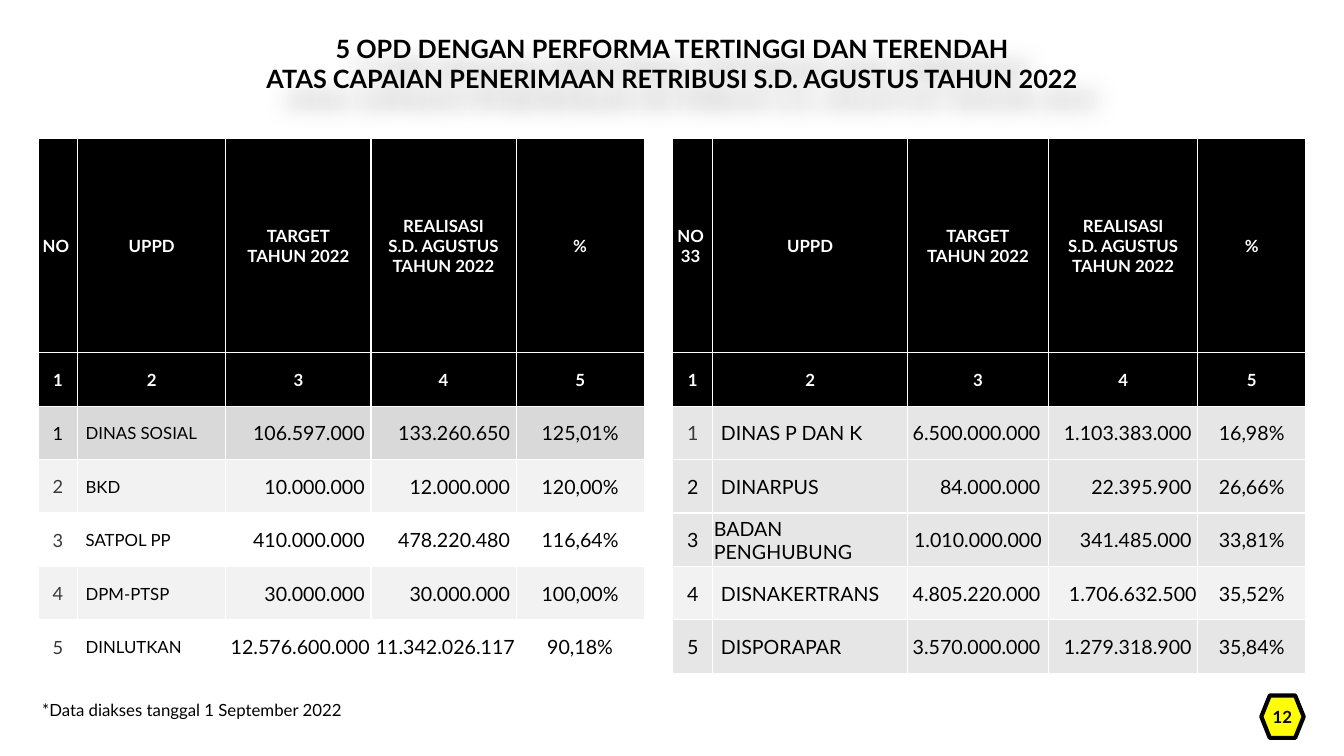
import pptx
import pptx.util
import pptx.oxml
import pptx.oxml.ns
import pptx.dml.color
import pptx.enum.text
import pptx.enum.shapes

Inches = pptx.util.Inches
ALIGN = pptx.enum.text.PP_ALIGN
MIDDLE = pptx.enum.text.MSO_ANCHOR.MIDDLE
NS = pptx.oxml.ns.nsdecls("a")

COLORS = {
    "black": "000000", "white": "FFFFFF", "yellow": "FFFF00", "ink": "3B3838",
    "leader": "D9D9D9", "light": "F2F2F2", "gray": "E7E6E6",
}
ROW_HEIGHTS = [2.13] + [0.53] * 6
HEADINGS = ["UPPD", "TARGET\nTAHUN 2022", "REALISASI\nS.D. AGUSTUS\nTAHUN 2022", "%"]
HEADER_MARGINS = (0.08, 0.01, 0.08, 0)
BODY_MARGINS = (0.01, 0.01, 0.01, 0)
NAME_MARGINS = (0.08, 0.01, 0.01, 0)

HIGHEST = {
    "box": (0.38, 1.37, 6, 5.32),
    "columns": [0.39, 1.47, 1.44, 1.44, 1.27],
    "number_heading": "NO",
    "sizes": [13, 12, 14, 14, 14],
    "fills": ["leader", "light", "white", "light", "white"],
    "number_colors": ["black", "ink", "ink", "ink", "ink"],
    "right_margins": {2: 0.06, 3: 0.06},
    "exceptions": {
        (4, 2): (ALIGN.RIGHT, BODY_MARGINS),
        (4, 3): (ALIGN.RIGHT, BODY_MARGINS),
    },
    "agencies": [
        ("DINAS SOSIAL", "106.597.000", "133.260.650", "125,01%"),
        ("BKD", "10.000.000", "12.000.000", "120,00%"),
        ("SATPOL PP", "410.000.000", "478.220.480", "116,64%"),
        ("DPM-PTSP", "30.000.000", "30.000.000", "100,00%"),
        ("DINLUTKAN", "12.576.600.000", "11.342.026.117", "90,18%"),
    ],
}
LOWEST = {
    "box": (6.67, 1.37, 6.28, 5.32),
    "columns": [0.4, 1.93, 1.4, 1.48, 1.07],
    "number_heading": "NO\v33",
    "sizes": [14] * 5,
    "fills": ["gray", "gray", "gray", "light", "gray"],
    "number_colors": ["ink", "black", "black", "black", "black"],
    "right_margins": {2: 0.08, 3: 0.06},
    "exceptions": {
        (2, 1): (ALIGN.LEFT, BODY_MARGINS),
        (2, 2): (ALIGN.CENTER, BODY_MARGINS),
        (3, 3): (ALIGN.RIGHT, BODY_MARGINS),
    },
    "agencies": [
        ("DINAS P DAN K", "6.500.000.000", "1.103.383.000", "16,98%"),
        ("DINARPUS", "84.000.000", "22.395.900", "26,66%"),
        ("BADAN PENGHUBUNG", "1.010.000.000", "341.485.000", "33,81%"),
        ("DISNAKERTRANS", "4.805.220.000", "1.706.632.500", "35,52%"),
        ("DISPORAPAR", "3.570.000.000", "1.279.318.900", "35,84%"),
    ],
}


def rgb(name):
    """Return the named palette colour."""
    return pptx.dml.color.RGBColor.from_string(COLORS[name])


def write(frame, text, size, color="black", bold=False, align=ALIGN.LEFT):
    """Fill a text frame and format all its paragraphs."""
    frame.text = text
    font_format = {"name": "Lato", "size": pptx.util.Pt(size), "bold": bold}
    for paragraph in frame.paragraphs:
        paragraph.alignment = align
        for run in paragraph.runs:
            for attribute, value in font_format.items():
                setattr(run.font, attribute, value)
            run.font.color.rgb = rgb(color)


def set_margins(target, margins):
    """Set the left, top, right and bottom margins in inches."""
    for side, margin in zip(("left", "top", "right", "bottom"), margins):
        setattr(target, f"margin_{side}", Inches(margin))


def format_cell(cell, fill, margins):
    """Give a cell white borders, a fill, margins and a middle anchor."""
    properties = cell._tc.get_or_add_tcPr()
    for side in "LRTB":
        properties.append(pptx.oxml.parse_xml(
            f'<a:ln{side} {NS} w="12700"><a:solidFill>'
            f'<a:srgbClr val="{COLORS["white"]}"/></a:solidFill></a:ln{side}>'))
    cell.fill.solid()
    cell.fill.fore_color.rgb = rgb(fill)
    cell.vertical_anchor = MIDDLE
    set_margins(cell, margins)


def body_layout(ranking, row, column):
    """Return the alignment and margins of a data cell."""
    if (row, column) in ranking["exceptions"]:
        return ranking["exceptions"][row, column]
    if column == 1:
        return ALIGN.LEFT, NAME_MARGINS
    if column in ranking["right_margins"]:
        return ALIGN.RIGHT, (0.01, 0.01, ranking["right_margins"][column], 0)
    return ALIGN.CENTER, BODY_MARGINS


def add_ranking(slide, ranking):
    """Draw one table of five agencies in its box."""
    box = [Inches(length) for length in ranking["box"]]
    table = slide.shapes.add_table(len(ROW_HEIGHTS), len(ranking["columns"]), *box).table
    table.first_row = table.horz_banding = False
    for column, width in zip(table.columns, ranking["columns"]):
        column.width = Inches(width)
    for row, height in zip(table.rows, ROW_HEIGHTS):
        row.height = Inches(height)

    header = [[ranking["number_heading"], *HEADINGS], [str(n) for n in range(1, 6)]]
    for row, labels in enumerate(header):
        for column, label in enumerate(labels):
            cell = table.cell(row, column)
            margins = (0.04, 0.01, 0.08, 0) if row == column == 0 else HEADER_MARGINS
            format_cell(cell, "black", margins)
            write(cell.text_frame, label, 12, "white", True, ALIGN.CENTER)

    for row, agency in enumerate(ranking["agencies"]):
        for column, value in enumerate((str(row + 1), *agency)):
            cell = table.cell(row + len(header), column)
            align, margins = body_layout(ranking, row, column)
            format_cell(cell, ranking["fills"][row], margins)
            color = "black" if column else ranking["number_colors"][row]
            write(cell.text_frame, value, ranking["sizes"][column], color, align=align)


def add_title(slide, box):
    """Place the title and its soft shadow."""
    title = slide.shapes.title
    for attribute, length in zip(("left", "top", "width", "height"), box):
        setattr(title, attribute, Inches(length))
    title.text_frame.vertical_anchor = MIDDLE
    write(title.text_frame,
          "5 OPD DENGAN PERFORMA TERTINGGI DAN TERENDAH\n"
          "ATAS CAPAIAN PENERIMAAN RETRIBUSI S.D. AGUSTUS TAHUN 2022",
          18, bold=True, align=ALIGN.CENTER)
    title._element.spPr.append(pptx.oxml.parse_xml(
        f'<a:effectLst {NS}><a:outerShdw blurRad="190500" dist="254000" dir="2700000" '
        f'algn="tl" rotWithShape="0"><a:srgbClr val="{COLORS["black"]}">'
        '<a:alpha val="30000"/></a:srgbClr></a:outerShdw></a:effectLst>'))


def add_footer(slide, note_box, badge_box):
    """Place the access note and the page number badge."""
    note = slide.shapes.add_textbox(*map(Inches, note_box)).text_frame
    note.word_wrap = True
    write(note, "*Data diakses tanggal 1 September 2022", 12)

    badge = slide.shapes.add_shape(
        pptx.enum.shapes.MSO_SHAPE.FLOWCHART_PREPARATION, *map(Inches, badge_box))
    badge.shadow.inherit = False
    badge.fill.solid()
    badge.fill.fore_color.rgb = rgb("yellow")
    badge.line.color.rgb = rgb("black")
    badge.line.width = pptx.util.Pt(3)
    set_margins(badge.text_frame, (0, 0, 0, 0))
    badge.text_frame.vertical_anchor = MIDDLE
    write(badge.text_frame, "12", 12, bold=True, align=ALIGN.CENTER)


def main():
    """Build and save the slide."""
    deck = pptx.Presentation()
    deck.slide_width, deck.slide_height = Inches(13.33), Inches(7.5)
    slide = deck.slides.add_slide(deck.slide_layouts.get_by_name("Title Only"))
    add_title(slide, (0, 0.16, 13.33, 0.94))
    for ranking in (HIGHEST, LOWEST):
        add_ranking(slide, ranking)
    add_footer(slide, (0.32, 6.89, 4, 0.3), (12.51, 6.9, 0.42, 0.42))
    deck.save("out.pptx")


if __name__ == "__main__":
    main()
